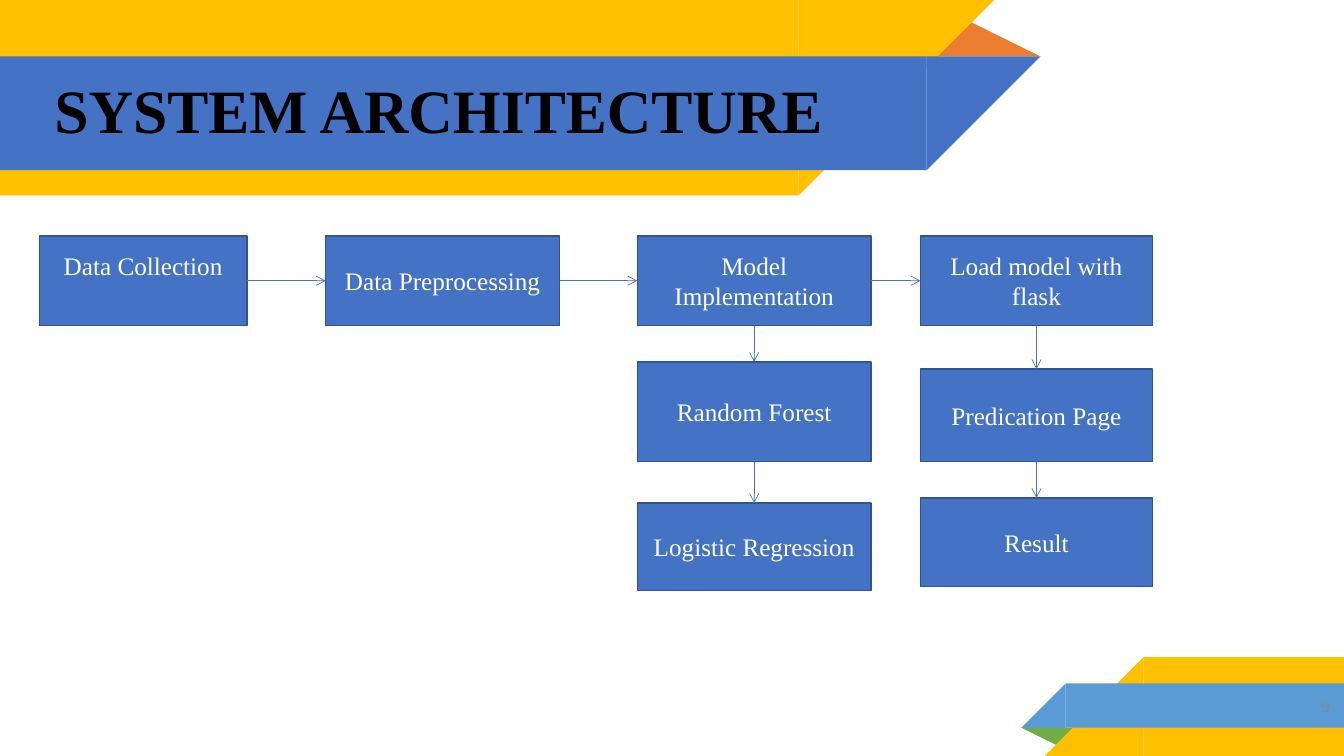
"""Build the system architecture slide."""
from dataclasses import dataclass

from lxml.etree import SubElement
from pptx import Presentation
from pptx.dml.color import RGBColor as Rgb
from pptx.enum.shapes import MSO_CONNECTOR as Link, MSO_SHAPE as Preset
from pptx.enum.text import MSO_ANCHOR as Anchor, PP_ALIGN as Align
from pptx.oxml.ns import qn
from pptx.util import Pt

EMU_PER_PX = 9144
TOP, LEFT, BOTTOM, RIGHT = range(4)


@dataclass(frozen=True)
class Theme:
    font: str = "Times New Roman"
    blue: str = "4472C4"
    outline: str = "325491"
    gold: str = "FFC000"
    orange: str = "ED7D31"
    green: str = "70AD47"
    sky: str = "5B9BD5"
    ink: str = "000000"
    white: str = "FFFFFF"
    grey: str = "898989"
    title_size: int = 44
    step_size: int = 18
    number_size: int = 12
    outline_width: float = 1
    arrow_width: float = 0.5


THEME = Theme()

STEPS = {
    "Data Collection": (39, 234, 206, 89),
    "Data Preprocessing": (323, 234, 232, 89),
    "Model Implementation": (632, 234, 232, 89),
    "Random Forest": (632, 359, 232, 99),
    "Logistic Regression": (632, 499, 232, 87),
    "Load model with flask": (913, 234, 230, 89),
    "Predication Page": (913, 366, 230, 92),
    "Result": (913, 494, 230, 88),
}
ROW = ("Data Collection", "Data Preprocessing", "Model Implementation",
       "Load model with flask")
COLUMNS = (
    ("Model Implementation", "Random Forest", "Logistic Regression"),
    ("Load model with flask", "Predication Page", "Result"),
)


def px(*lengths):
    return [length * EMU_PER_PX for length in lengths]


def apply(target, values):
    for name, value in values.items():
        setattr(target, name, value)


def add_block(slide, preset, box, color, rotation=0):
    block = slide.shapes.add_shape(preset, *px(*box))
    block.shadow.inherit = False
    block.rotation = rotation
    block.fill.solid()
    block.fill.fore_color.rgb = Rgb.from_string(color)
    block.line.fill.background()
    return block


def add_peak(slide, box, color, rotation=0):
    peak = add_block(slide, Preset.ISOSCELES_TRIANGLE, box, color, rotation)
    peak.adjustments[0] = 0.324


def add_left_ribbon(slide, top, width, height, color):
    add_block(slide, Preset.RECTANGLE, (0, top, width, height), color)
    add_block(slide, Preset.RIGHT_TRIANGLE, (width, top, height, height), color, 90)


def add_right_ribbon(slide, left, top, width, height, color):
    add_block(slide, Preset.RECTANGLE, (left, top, width, height), color)
    add_block(slide, Preset.RIGHT_TRIANGLE,
              (left - height, top, height, height), color, 270)


def write_text(shape, text, size, color, align, bold=False, spacing=1.0):
    frame = shape.text_frame
    apply(frame, {"word_wrap": True, "vertical_anchor": Anchor.MIDDLE})
    paragraph = frame.paragraphs[0]
    apply(paragraph, {"alignment": align, "line_spacing": spacing})
    run = paragraph.add_run()
    run.text = text
    apply(run.font, {"name": THEME.font, "size": Pt(size), "bold": bold})
    run.font.color.rgb = Rgb.from_string(color)
    return frame


def add_label(slide, box, *text_format, inset=10, **extras):
    label = slide.shapes.add_textbox(*px(*box))
    frame = write_text(label, *text_format, **extras)
    margins = ("margin_left", "margin_top", "margin_right", "margin_bottom")
    apply(frame, dict.fromkeys(margins, inset * EMU_PER_PX))


def add_step(slide, name, box):
    step = add_block(slide, Preset.RECTANGLE, box, THEME.blue)
    step.line.color.rgb = Rgb.from_string(THEME.outline)
    step.line.width = Pt(THEME.outline_width)
    write_text(step, name, THEME.step_size, THEME.white, Align.CENTER)
    return step


def add_arrow(slide, source, source_side, target, target_side):
    arrow = slide.shapes.add_connector(Link.STRAIGHT, 0, 0, 0, 0)
    arrow.begin_connect(source, source_side)
    arrow.end_connect(target, target_side)
    arrow.line.color.rgb = Rgb.from_string(THEME.blue)
    arrow.line.width = Pt(THEME.arrow_width)
    properties = arrow.element.spPr
    SubElement(properties.find(qn("a:ln")), qn("a:tailEnd"), type="arrow")
    SubElement(properties, qn("a:effectLst"))


def add_chain(slide, steps, names, source_side, target_side):
    for source, target in zip(names, names[1:]):
        add_arrow(slide, steps[source], source_side, steps[target], target_side)


def add_decoration(slide):
    add_peak(slide, (918, 18, 114, 38), THEME.orange)
    add_left_ribbon(slide, 0, 792, 194, THEME.gold)
    add_left_ribbon(slide, 56, 919, 113, THEME.blue)
    add_peak(slide, (1013, 722, 57, 19), THEME.green, 180)
    add_right_ribbon(slide, 1134, 652, 200, 98, THEME.gold)
    add_right_ribbon(slide, 1057, 678, 277, 44, THEME.sky)


def main():
    deck = Presentation()
    width, height = px(1333, 750)
    apply(deck, {"slide_width": width, "slide_height": height})
    slide = deck.slides.add_slide(deck.slide_layouts[6])
    add_decoration(slide)
    add_label(slide, (44, 57, 882, 112), "SYSTEM ARCHITECTURE", THEME.title_size,
              THEME.ink, Align.LEFT, bold=True, spacing=0.9)
    steps = {name: add_step(slide, name, box) for name, box in STEPS.items()}
    steps["Data Collection"].text_frame.margin_bottom = px(35)[0]
    add_chain(slide, steps, ROW, RIGHT, LEFT)
    for column in COLUMNS:
        add_chain(slide, steps, column, BOTTOM, TOP)
    add_label(slide, (1280, 680, 39, 40), "9", THEME.number_size,
              THEME.grey, Align.RIGHT, inset=0)
    deck.save("out.pptx")


if __name__ == "__main__":
    main()
